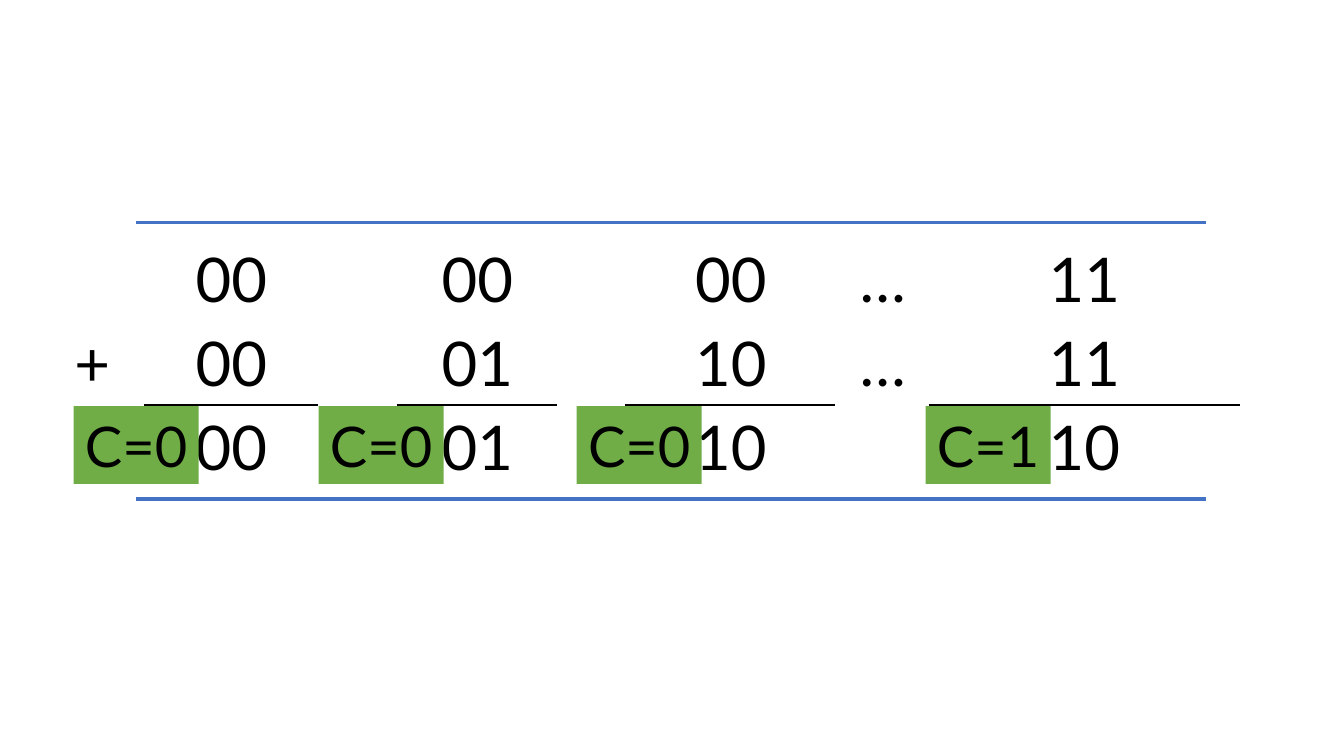
from lxml.etree import SubElement
from pptx import Presentation
from pptx.dml.color import RGBColor
from pptx.enum.shapes import MSO_CONNECTOR, MSO_SHAPE
from pptx.enum.text import MSO_ANCHOR, MSO_AUTO_SIZE, PP_ALIGN
from pptx.oxml import parse_xml
from pptx.oxml.ns import nsdecls, qn
from pptx.util import Pt

PX = 9144  # EMU per px, 100 px to the inch
BLUE = RGBColor(0x44, 0x72, 0xC4)
GREEN = RGBColor(0x70, 0xAD, 0x47)
BLACK = RGBColor(0, 0, 0)


class Board:
    def __init__(self, slide, font):
        self.slide = slide
        self.font = font

    def label(self, frame, text, size):
        frame.text = text
        para = frame.paragraphs[0]
        para.alignment = PP_ALIGN.CENTER
        for run in para.runs:
            run.font.name = self.font
            run.font.size = Pt(size)
            run.font.color.rgb = BLACK

    def rule(self, left, right, y):
        line = self.slide.shapes.add_connector(
            MSO_CONNECTOR.STRAIGHT, left * PX, y * PX, right * PX, y * PX)
        line.line.color.rgb = BLUE
        line.line.width = Pt(2.5)
        SubElement(line._element.spPr, qn("a:effectLst"))

    def border(self, cell, side):
        edge = parse_xml(
            f'<a:{side} {nsdecls("a")} w="{Pt(1)}"><a:solidFill>'
            f'<a:srgbClr val="{BLACK}"/></a:solidFill></a:{side}>')
        cell._tc.get_or_add_tcPr().insert(0, edge)

    def table(self, left, top, widths, height, rows, sums):
        """Draw the rows, with a line above the last one in the sum columns."""
        grid = self.slide.shapes.add_table(
            len(rows), len(widths), left * PX, top * PX,
            sum(widths) * PX, height * len(rows) * PX).table
        grid.first_row = grid.horz_banding = False
        for col, width in zip(grid.columns, widths):
            col.width = width * PX
        for r, row in enumerate(rows):
            grid.rows[r].height = height * PX
            for c, text in enumerate(row):
                cell = grid.cell(r, c)
                cell.fill.background()
                if text:
                    self.label(cell.text_frame, text, 44)
        last = len(rows) - 1
        for c in sums:
            self.border(grid.cell(last - 1, c), "lnB")
            self.border(grid.cell(last, c), "lnT")

    def flag(self, left, top, text):
        box = self.slide.shapes.add_shape(
            MSO_SHAPE.RECTANGLE, left * PX, top * PX, 124 * PX, 77 * PX)
        box.shadow.inherit = False
        box.fill.solid()
        box.fill.fore_color.rgb = GREEN
        box.line.fill.background()
        frame = box.text_frame
        frame.word_wrap = False
        frame.auto_size = MSO_AUTO_SIZE.SHAPE_TO_FIT_TEXT
        frame.vertical_anchor = MSO_ANCHOR.TOP
        self.label(frame, text, 40)


def main():
    deck = Presentation()
    deck.slide_width = 1333 * PX
    deck.slide_height = 750 * PX
    board = Board(deck.slides.add_slide(deck.slide_layouts[6]), "Lato")

    # Frame lines
    for y in (495, 221):
        board.rule(135, 1196, y)

    # Binary sums
    board.table(
        40, 235, [103, 173, 78, 159, 68, 208, 93, 307], 83,
        [["", "00", "", "00", "", "00", "…", "11"],
         ["+", "00", "", "01", "", "10", "…", "11"],
         ["", "00", "", "01", "", "10", "", "10"]],
        sums=(1, 3, 5, 7))

    # Carry flags
    for left, carry in ((918, 1), (73, 0), (316, 0), (572, 0)):
        board.flag(left, 403, f"C={carry}")

    deck.save("out.pptx")


if __name__ == "__main__":
    main()
